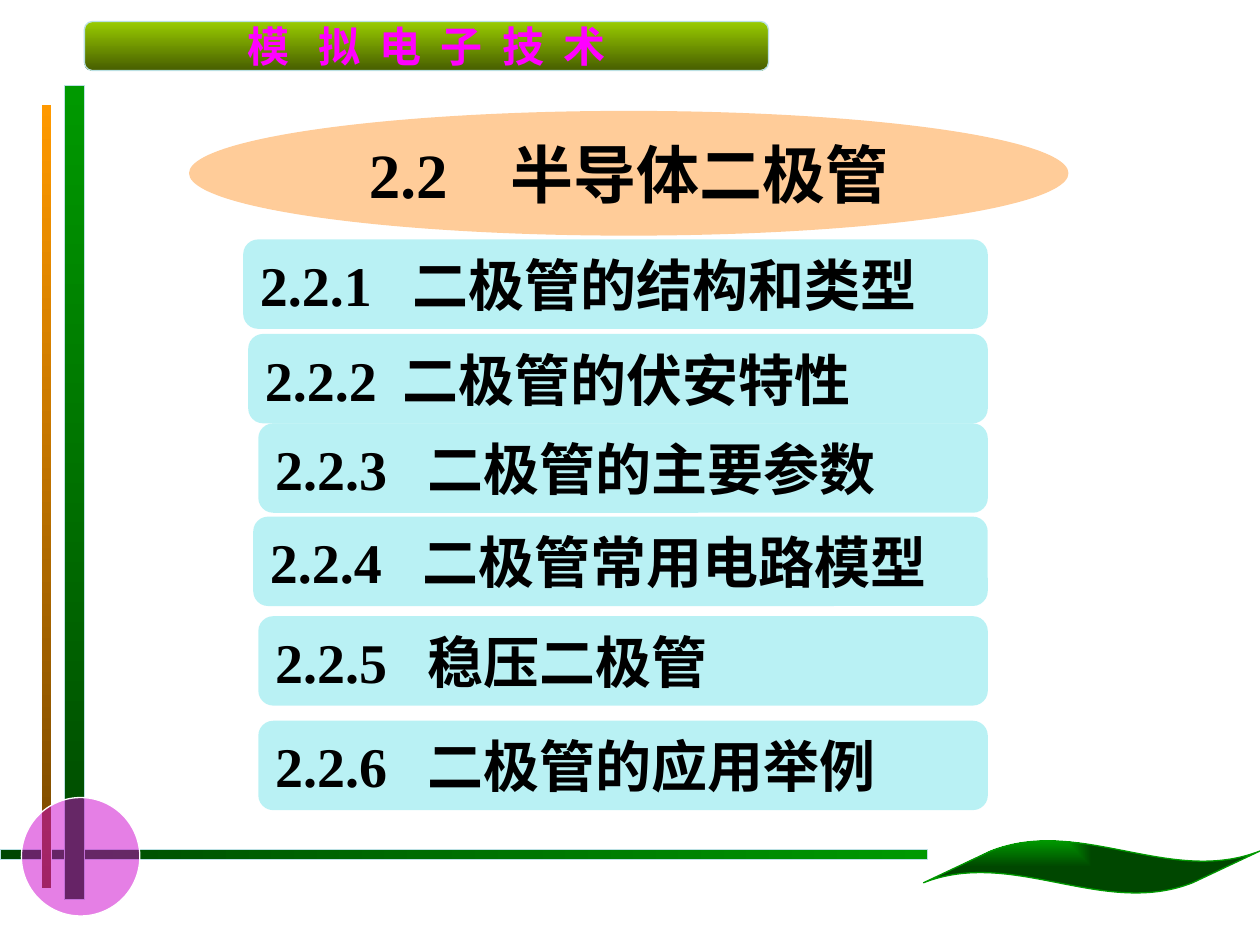
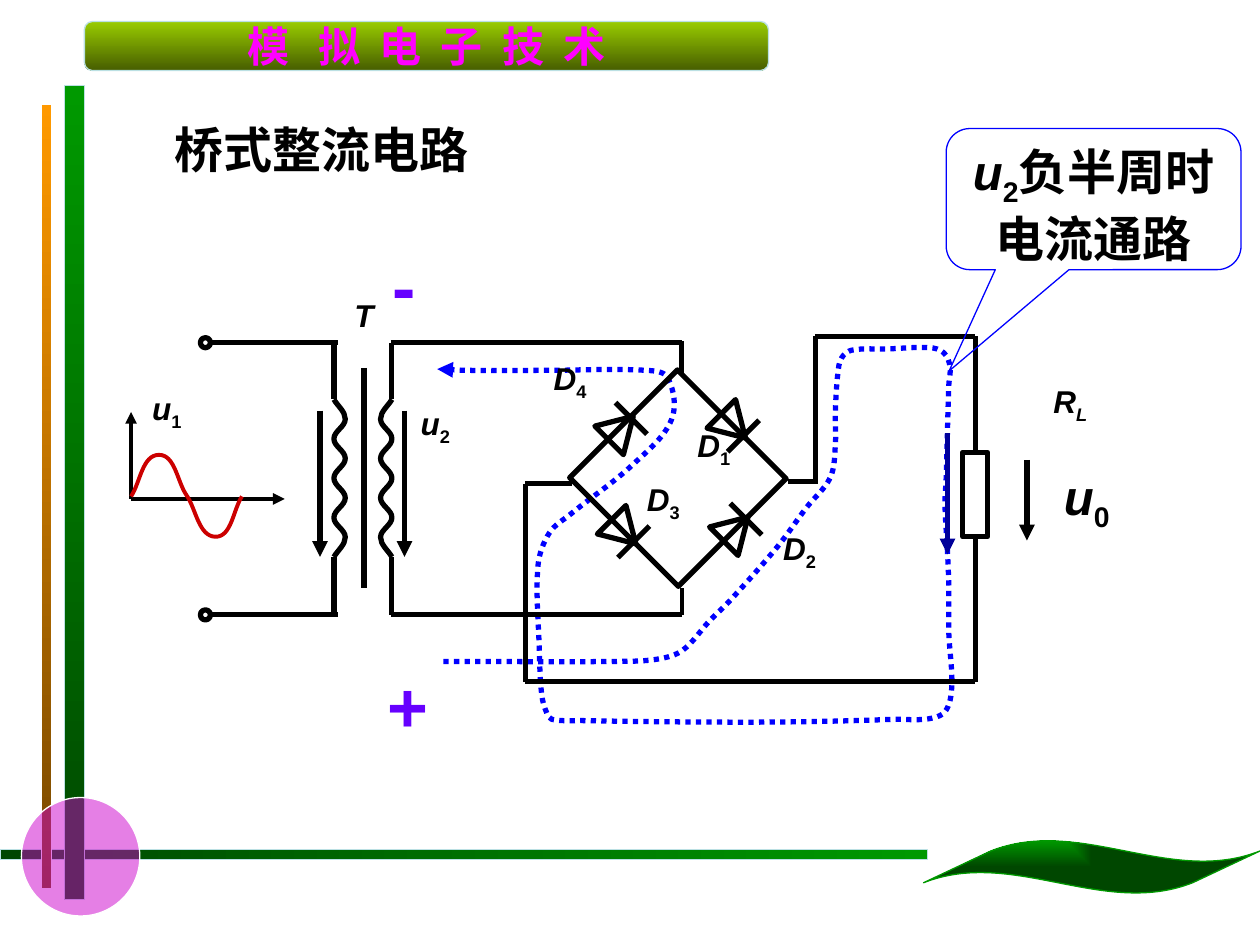
from math import dist

from lxml import etree
from pptx import Presentation
from pptx.dml.color import RGBColor
from pptx.enum.dml import MSO_LINE
from pptx.enum.shapes import MSO_CONNECTOR, MSO_SHAPE
from pptx.enum.text import MSO_ANCHOR, PP_ALIGN
from pptx.oxml.ns import qn
from pptx.util import Inches, Pt

RECT, OVAL, ROUND = MSO_SHAPE.RECTANGLE, MSO_SHAPE.OVAL, MSO_SHAPE.ROUNDED_RECTANGLE
WAVE, TRI = MSO_SHAPE.WAVE, MSO_SHAPE.ISOSCELES_TRIANGLE
PLATE, CALLOUT = MSO_SHAPE.FLOWCHART_ALTERNATE_PROCESS, MSO_SHAPE.ROUNDED_RECTANGULAR_CALLOUT
STRAIGHT, DOTS = MSO_CONNECTOR.STRAIGHT, MSO_LINE.ROUND_DOT
TOP, MID = MSO_ANCHOR.TOP, MSO_ANCHOR.MIDDLE
LEFT, CENTER = PP_ALIGN.LEFT, PP_ALIGN.CENTER

# The grid: 10 columns by 7.5 rows of square cells
COLS, ROWS, CELL = 10, 7.5, Inches(1)

HEX = {
    "black": "000000", "white": "FFFFFF", "pale": "BBE0E3", "green": "009900",
    "dark": "004700", "orange": "FF9900", "brown": "764700", "lime": "99CC00",
    "olive": "475E00", "violet": "CC00CC", "pink": "FF00FF", "peach": "FFCC99",
    "aqua": "75E5EB", "blue": "0000FF", "navy": "000099", "red": "CC0000",
    "sign": "6600FF",
}
SANS, SERIF, HAN = "Arial", "Times New Roman", "Noto Sans CJK SC"


def rgb(name):
    return RGBColor.from_string(HEX[name])


def cells(*nums):
    return [int(n * CELL) for n in nums]


# ---- Fills, lines and text ----

def ink(shape, color, width, dash=None, tail=False):
    """Style the outline of a shape, curve or connector."""
    line = shape.line
    if color is None:
        line.fill.background()
        return
    line.color.rgb = rgb(color)
    line.width = Pt(width)
    if dash:
        line.dash_style = dash
    if tail:
        etree.SubElement(line._get_or_add_ln(), qn("a:tailEnd"), type="triangle")


def paint(shape, fill, alpha=None, turn=0):
    """Fill with nothing, one colour, or a pair of gradient colours."""
    if fill is None:
        shape.fill.background()
    elif isinstance(fill, tuple):
        shape.fill.gradient()
        shape.fill.gradient_angle = turn
        for stop, name in zip(shape.fill.gradient_stops, fill):
            stop.color.rgb = rgb(name)
    else:
        shape.fill.solid()
        shape.fill.fore_color.rgb = rgb(fill)
        if alpha:
            tone = shape.element.spPr.find(".//" + qn("a:srgbClr"))
            etree.SubElement(tone, qn("a:alpha"), val=str(alpha * 1000))


def write(shape, runs, size, font=SANS, color="black", align=CENTER,
          anchor=TOP, wrap=True, tab=None):
    """Fill a frame with runs: (text, font changes, rPr attributes)."""
    frame = shape.text_frame
    frame.word_wrap, frame.vertical_anchor = wrap, anchor
    para = frame.paragraphs[0]
    para.alignment = align
    if tab:
        stops = etree.SubElement(para._p.get_or_add_pPr(), qn("a:tabLst"))
        etree.SubElement(stops, qn("a:tab"), pos=str(int(tab * CELL)), algn="l")
    for text, change, attrs in runs:
        run = para.add_run()
        run.text = text
        style = {"name": font, "size": Pt(size), "bold": True, **change}
        for key, val in style.items():
            setattr(run.font, key, val)
        run.font.color.rgb = rgb(color)
        props = run._r.get_or_add_rPr()
        etree.SubElement(props, qn("a:ea"), typeface=HAN)
        for key, val in attrs.items():
            props.set(key, val)


def symbol(base, sub, slant=False):
    """Runs for an italic letter with a subscript."""
    return [(base, {"italic": True}, {}),
            (sub, {"italic": slant}, {"baseline": "-25000"})]


# ---- Elements ----

def block(slide, kind, box, fill=None, line=None, width=3, alpha=None,
          turn=0, spin=0, adj=()):
    shape = slide.shapes.add_shape(kind, *cells(*box))
    shape.shadow.inherit = False
    shape.rotation = spin
    for i, val in enumerate(adj):
        shape.adjustments[i] = val
    paint(shape, fill, alpha, turn)
    ink(shape, line, width)
    return shape


def wire(slide, x1, y1, x2, y2, color="black", width=3, tail=False):
    link = slide.shapes.add_connector(STRAIGHT, *cells(x1, y1, x2, y2))
    ink(link, color, width, tail=tail)
    etree.SubElement(link.element.spPr, qn("a:effectLst"))
    return link


def curve(slide, knots, color="black", width=3, **style):
    """Draw a smooth open curve through the knots."""
    pts = [tuple(cells(*k)) for k in knots]
    pen = slide.shapes.build_freeform(*pts[0])
    pen.add_line_segments(pts[1:], close=False)
    shape = pen.convert_to_shape()
    shape.shadow.inherit = False
    paint(shape, None)
    ink(shape, color, width, **style)

    left, top = shape.left, shape.top
    last = len(pts) - 1

    def lean(i, reach):
        (ax, ay), (bx, by) = pts[max(i - 1, 0)], pts[min(i + 1, last)]
        share = reach / dist((ax, ay), (bx, by))
        return pts[i][0] + (bx - ax) * share, pts[i][1] + (by - ay) * share

    for i, seg in enumerate(list(shape.element.iter(qn("a:lnTo")))):
        reach = dist(pts[i], pts[i + 1]) / 3
        bend = etree.Element(qn("a:cubicBezTo"))
        for x, y in (lean(i, reach), lean(i + 1, -reach), pts[i + 1]):
            etree.SubElement(bend, qn("a:pt"), x=str(int(x - left)), y=str(int(y - top)))
        seg.getparent().replace(seg, bend)


def label(slide, box, runs, size=18, **style):
    write(slide.shapes.add_textbox(*cells(*box)), runs, size, **style)


def title(slide, box, runs, size, **style):
    head = slide.shapes.title
    head.left, head.top, head.width, head.height = cells(*box)
    write(head, runs, size, anchor=MID, **style)
    return head


def diode(slide, x, y, slope):
    """Triangle and bar; slope is -1 for up right, 1 for down right."""
    block(slide, TRI, (x - 0.16, y - 0.135, 0.32, 0.27), line="black", spin=90 + 45 * slope)
    bx, by, half = x + 0.08, y + 0.08 * slope, 0.125
    wire(slide, bx - half, by + half * slope, bx + half, by - half * slope)


# ---- Shared frame, kept on the layout ----

def frame(slide, layout):
    down = 270
    parts = [
        block(slide, RECT, (0, 6.74, 7.36, 0.08), ("dark", "green"), "pale", 0.75),
        block(slide, RECT, (0.51, 0.68, 0.16, 6.46), ("green", "dark"), "pale", 0.75, turn=down),
        block(slide, RECT, (0.33, 0.83, 0.08, 6.22), ("orange", "brown"), "white", 0.5, turn=down),
        block(slide, OVAL, (0.17, 6.33, 0.94, 0.94), "violet", "white", 0.75, alpha=50),
    ]
    band = block(slide, PLATE, (0.67, 0.17, 5.43, 0.39), ("lime", "olive"), "pale", 0.75, turn=down)
    write(band, [("模 ", {}, {"spc": "560"}), ("拟 电 子 技 ", {}, {"spc": "280"}),
                 ("术", {}, {})], 24, HAN, "pink", anchor=MID, wrap=False)
    leaf = block(slide, WAVE, (7.33, 6.67, 2.67, 0.42), ("green", "dark"), "green", 0.75,
                 adj=(0.206, -0.1))
    lin = leaf.element.spPr.find(".//" + qn("a:lin"))
    glow = etree.Element(qn("a:path"), path="rect")
    etree.SubElement(glow, qn("a:fillToRect"), r="100000", b="100000")
    lin.getparent().replace(lin, glow)
    for i, part in enumerate(parts + [band, leaf]):
        part.element.nvSpPr.cNvPr.set("id", str(50 + i))
        layout.shapes.element.append(part.element)


# ---- Slide 1: section list ----

def outline(slide):
    box = (1.5, 0.88, 6.98, 0.99)
    oval = block(slide, OVAL, box, "peach")
    head = title(slide, box, [("2.2　", {}, {}), ("半导体二极管", {"name": HAN}, {})],
                 36, font=SERIF)
    head.element.addprevious(oval.element)
    right, wide, slim = 7.84, 1.21, 1.09
    rows = [
        (1.93, 1.9, wide, "二极管的结构和类型"), (1.97, 2.65, slim, "二极管的伏安特性"),
        (2.05, 3.36, wide, "二极管的主要参数"), (2.01, 4.1, wide, "二极管常用电路模型"),
        (2.05, 4.89, wide, "稳压二极管"), (2.05, 5.72, wide, "二极管的应用举例"),
    ]
    for num, (x, y, tab, text) in enumerate(rows, 1):
        bar = block(slide, ROUND, (x, y, right - x, 0.71), "aqua", alpha=50, adj=(0.167,))
        write(bar, [(f"2.2.{num}\t{text}", {}, {})], 32, SERIF, align=LEFT, anchor=MID, tab=tab)


# ---- Slide 2: bridge rectifier ----

FLOW = [
    (3.52, 5.25), (4.92, 5.25), (5.23, 5.23), (5.42, 5.16), (5.63, 4.93), (5.8, 4.76),
    (6.17, 4.34), (6.4, 4.03), (6.59, 3.79), (6.63, 3.53), (6.63, 3.27), (6.65, 2.96),
    (6.68, 2.84), (6.76, 2.78), (7.04, 2.77), (7.38, 2.76), (7.49, 2.8), (7.54, 2.91),
    (7.53, 3.06), (7.51, 3.78), (7.5, 4.01), (7.52, 4.38), (7.53, 4.65), (7.53, 5.01),
    (7.55, 5.5), (7.46, 5.68), (7.07, 5.71), (6.25, 5.73), (5.43, 5.73), (4.64, 5.72),
    (4.38, 5.71), (4.34, 5.66), (4.3, 5.52), (4.28, 5.15), (4.27, 4.49), (4.36, 4.23),
    (4.53, 4.08), (5.02, 3.69), (5.33, 3.33), (5.3, 3.0), (5.13, 2.94), (4.32, 2.94),
    (3.73, 2.94), (3.47, 2.93),
]


def circuit(slide):
    # Current path
    curve(slide, FLOW, "blue", dash=DOTS, tail=True)
    wire(slide, 7.52, 3.44, 7.52, 4.4, "navy", tail=True)

    # Transformer: input ends, coils and core
    high, low, start, end = 2.72, 4.88, 3.17, 4.42
    step = (end - start) / 8
    for y in (high, low):
        block(slide, OVAL, (1.59, y - 0.04, 0.08, 0.08), line="black")
        wire(slide, 1.68, y, 2.68, y)
        wire(slide, 3.1, y, 5.41, y)
    for x, swing in ((2.65, 0.09), (3.11, -0.09)):
        curve(slide, [(x + swing * (i % 2), start + i * step) for i in range(9)])
        wire(slide, x, high, x, start)
        wire(slide, x, end, x, low)
    wire(slide, 2.89, 2.92, 2.89, 4.67)

    # Bridge
    block(slide, RECT, (4.77, 3.19, 1.22, 1.21), line="black", spin=45)
    for spot in ((4.93, 3.4, -1), (5.84, 4.2, -1), (5.82, 3.38, 1), (4.95, 4.22, 1)):
        diode(slide, *spot)
    wire(slide, 5.41, low, 5.41, 4.67, width=2.25)

    # Load and its wires
    load = block(slide, RECT, (7.64, 3.59, 0.2, 0.67), line="black")
    for y, site in ((2.67, 0), (5.41, 2)):
        wire(slide, 7.74, y, 7.74, 3.9).end_connect(load, site)
    for ends in ((5.41, 2.71, 5.41, 2.96), (6.47, 2.67, 7.74, 2.67), (4.17, 5.41, 7.74, 5.41),
                 (4.54, 3.84, 4.17, 3.84), (4.17, 3.84, 4.17, 5.41),
                 (6.47, 2.67, 6.47, 3.84), (6.25, 3.82, 6.47, 3.82)):
        wire(slide, *ends)

    # Voltage arrows and input wave
    for x, y1, y2 in ((2.54, 3.26, 4.42), (3.21, 3.26, 4.42), (8.15, 3.65, 4.29)):
        wire(slide, x, y1, x, y2, tail=True)
    for tip in ((1.04, 3.27), (2.26, 3.96)):
        wire(slide, 1.04, 3.96, *tip, width=2.25, tail=True)
    curve(slide, [(1.04, 3.94), (1.26, 3.61), (1.48, 3.93), (1.71, 4.26), (1.92, 3.94)],
          "red", 2.25)

    # Labels
    for x, y, base, sub in ((1.02, 3.04, "u", "1"), (3.15, 3.16, "u", "2"),
                            (4.22, 2.8, "D", "4"), (6.04, 4.15, "D", "2"),
                            (5.36, 3.33, "D", "1"), (4.96, 3.76, "D", "3")):
        label(slide, (x, y, 0.61, 0.5), symbol(base, sub))
    label(slide, (7.94, 2.98, 1.11, 0.5), symbol("R", "L", True))
    label(slide, (8.22, 3.65, 0.81, 0.57), symbol("u", "0"), 28)
    label(slide, (2.69, 2.3, 0.4, 0.5), [("T", {"italic": True}, {})], wrap=False)
    for box, sign in (((3.01, 1.87, 0.39, 0.77), "-"), ((2.98, 5.21, 0.52, 0.77), "+")):
        label(slide, box, [(sign, {}, {})], 40, color="sign", anchor=MID, wrap=False)
    title(slide, (1.27, 0.9, 2.56, 0.57), [("桥式整流电路", {}, {})], 28, wrap=False)
    note = block(slide, CALLOUT, (7.51, 1.02, 2.34, 1.12), line="blue", width=0.75,
                 adj=(-0.49, 1.218, 0.167))
    write(note, symbol("u", "2") + [("负半周时电流通路", {"name": HAN}, {})], 28)


def main():
    prs = Presentation()
    prs.slide_width, prs.slide_height = cells(COLS, ROWS)
    layout = prs.slide_layouts[5]
    first, second = (prs.slides.add_slide(layout) for _ in range(2))
    frame(first, layout)
    outline(first)
    circuit(second)
    prs.save("out.pptx")


if __name__ == "__main__":
    main()
